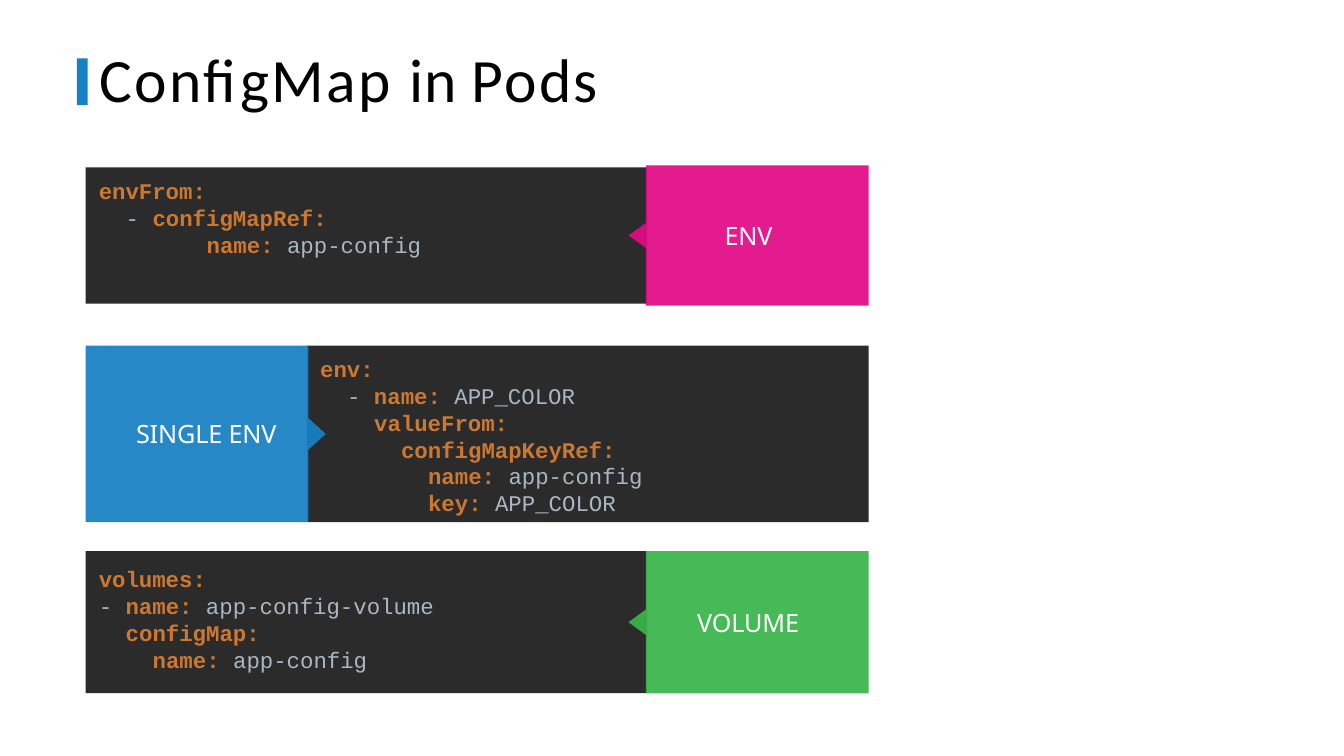
from lxml import etree
from pptx import Presentation
from pptx import util as u
from pptx.dml.color import RGBColor
from pptx.enum import shapes, text
from pptx.oxml.ns import qn

COLOURS = {
    "blue": "1780C3", "pink": "E10A87", "green": "39B54A", "code": "2B2B2B",
    "key": "CC7831", "value": "A9B7C5", "title": "000000", "label": "FFFFFF",
}
LEFT, RIGHT = 2.16, 21.89
CODE_WIDTH, LABEL_WIDTH, TIP = 14.15, 5.61, 0.44
CODE_INSET, CODE_STEP = 0.33, 0.68

ENV_FROM = [(0, "envFrom:"), (1, "- configMapRef:"), (4, "name: app-config")]
SINGLE_ENV = [
    (0, "env:"), (1, "- name: APP_COLOR"), (2, "valueFrom:"),
    (3, "configMapKeyRef:"), (4, "name: app-config"), (4, "key: APP_COLOR"),
]
VOLUMES = [
    (0, "volumes:"), (0, "- name: app-config-volume"),
    (1, "configMap:"), (2, "name: app-config"),
]


def paint(shape, colour, opacity=100):
    shape.shadow.inherit = False
    shape.line.fill.background()
    shape.fill.solid()
    shape.fill.fore_color.rgb = RGBColor.from_string(COLOURS[colour])
    if opacity < 100:
        solid = shape.fill._xPr.find(qn("a:solidFill"))
        etree.SubElement(solid[0], qn("a:alpha"), val=str(opacity * 1000))


def add_text(paragraph, words, *, font, size, colour, bold=False, spacing=0):
    run = paragraph.add_run()
    run.text = words
    run.font.name, run.font.size, run.font.bold = font, u.Pt(size), bold
    run.font.color.rgb = RGBColor.from_string(COLOURS[colour])
    if spacing:
        run._r.get_or_add_rPr().set("spc", str(round(spacing * 100)))


def set_frame(shape, anchor, top=0):
    frame = shape.text_frame
    frame.word_wrap = True
    frame.vertical_anchor = anchor
    frame.margin_left = frame.margin_right = frame.margin_bottom = 0
    frame.margin_top = u.Cm(top)
    return frame


def add_box(slide, left, top, width, height, colour):
    box = slide.shapes.add_shape(
        shapes.MSO_SHAPE.RECTANGLE,
        u.Cm(left), u.Cm(top), u.Cm(width), u.Cm(height))
    paint(box, colour)
    return box


def add_line_box(slide, left, top, width, height):
    """Add a text box for one vertically centred line; return its paragraph."""
    box = slide.shapes.add_textbox(
        u.Cm(left), u.Cm(top), u.Cm(width), u.Cm(height))
    return set_frame(box, text.MSO_ANCHOR.MIDDLE).paragraphs[0]


def add_code(slide, left, top, height, lines, inset=0.24):
    """Draw a dark panel of YAML; each line is (indent level, source)."""
    panel = add_box(slide, left, top, CODE_WIDTH, height, "code")
    frame = set_frame(panel, text.MSO_ANCHOR.TOP, inset)
    for number, (level, source) in enumerate(lines):
        paragraph = frame.add_paragraph() if number else frame.paragraphs[0]
        paragraph.alignment = text.PP_ALIGN.LEFT
        indent = u.Cm(CODE_INSET + level * CODE_STEP)
        paragraph._p.get_or_add_pPr().set("marL", str(indent))
        dash = "- " if source.startswith("- ") else ""
        key, colon, value = source[len(dash):].partition(":")
        for words, colour in ((dash, "value"), (key + colon, "key"), (value, "value")):
            if words:
                add_text(paragraph, words, font="Courier New", size=16,
                         colour=colour, bold=colour == "key")


def add_label(slide, top, height, colour, words, text_left, points_right=False):
    """Draw a coloured panel whose tip points into the code beside it."""
    outer, inner = (LEFT, LEFT + LABEL_WIDTH) if points_right else (RIGHT, RIGHT - LABEL_WIDTH)
    tip = inner + TIP if points_right else inner - TIP
    middle, half_tip = top + height / 2, height * 0.09
    corners = [
        (outer, top), (inner, top), (inner, middle - half_tip), (tip, middle),
        (inner, middle + half_tip), (inner, top + height), (outer, top + height),
    ]
    points = [(u.Cm(x), u.Cm(y)) for x, y in corners]
    builder = slide.shapes.build_freeform(*points[0])
    builder.add_line_segments(points[1:], close=True)
    paint(builder.convert_to_shape(), colour, opacity=93)
    paragraph = add_line_box(slide, text_left, top, 4, height)
    add_text(paragraph, words, font="Noto Sans", size=18, colour="label", spacing=-0.1)


def add_title(slide):
    add_box(slide, 1.94, 1.47, 0.27, 1.18, "blue")
    paragraph = add_line_box(slide, 2.51, 0.99, 14.96, 1.93)
    for words, spacing in (("ConfigMap ", 1.6), ("in ", 0.3), ("Pods", 1.7)):
        add_text(paragraph, words, font="Calibri", size=44, colour="title", spacing=spacing)


def main():
    deck = Presentation()
    deck.slide_width, deck.slide_height = u.Cm(33.87), u.Cm(19.05)
    slide = deck.slides.add_slide(deck.slide_layouts[6])
    add_title(slide)
    add_code(slide, LEFT, 4.22, 3.43, ENV_FROM)
    add_label(slide, 4.17, 3.53, "pink", "ENV", 18.26)
    add_code(slide, RIGHT - CODE_WIDTH, 8.71, 4.45, SINGLE_ENV)
    add_label(slide, 8.71, 4.45, "blue", "SINGLE ENV", 3.43, points_right=True)
    add_code(slide, LEFT, 13.89, 3.58, VOLUMES, inset=0.36)
    add_label(slide, 13.89, 3.58, "green", "VOLUME", 17.57)
    deck.save("out.pptx")


if __name__ == "__main__":
    main()
